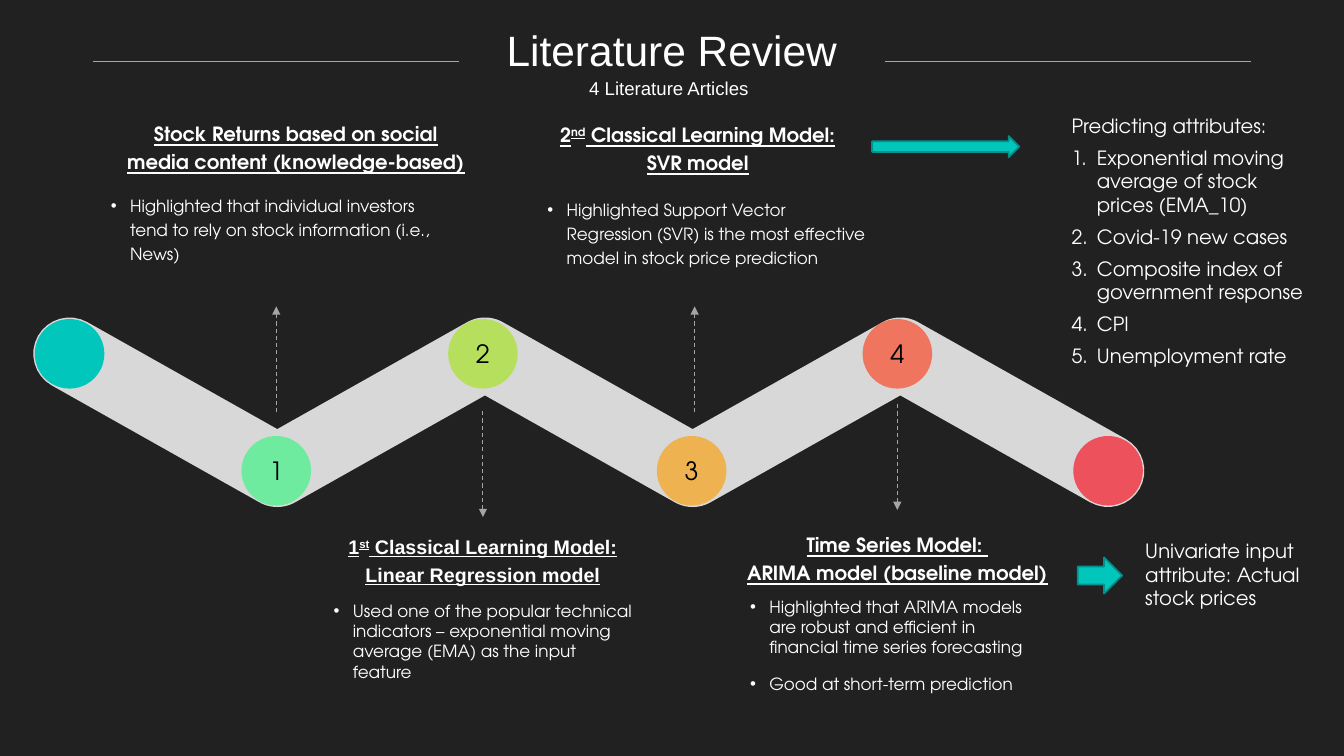
"""Builds the Literature Review slide: a zigzag path with four reviewed articles."""
import math

import lxml.etree
import pptx
import pptx.dml.color
import pptx.enum.dml
import pptx.enum.shapes
import pptx.enum.text
import pptx.oxml.ns
import pptx.util

SANS, GEOMETRIC = "Arial", "TeX Gyre Adventor"
WHITE, BLACK, GREY = "FFFFFF", "000000", "A5A5A5"
BACKGROUND, PATH_GREY, TEAL, DARK_TEAL = "212121", "D8D8D8", "00C6BB", "00928A"
WIDTH, HEIGHT = 13.33, 7.5

TITLE = "Literature Review"
SUBTITLE = "4 Literature Articles"

MILESTONES = [
    ("", 0.69, TEAL), ("1", 2.74, "6FEBA0"), ("2", 4.79, "B6DF5E"),
    ("3", 6.86, "EFB251"), ("4", 8.9, "EF755F"), ("", 10.99, "ED515C"),
]

# Every second piece of a heading line is superscript.
ARTICLES = [
    {"heading": [["Stock Returns based on social media content (knowledge-based)"]],
     "heading_box": (1.12, 1.11, 3.63, 0.67), "font": GEOMETRIC,
     "points": ["Highlighted that individual investors tend to rely on stock information (i.e., News)"],
     "points_box": (1, 1.85, 3.63, 0.83), "line_spacing": 1.2, "gap": 0},
    {"heading": [["1", "st", " Classical Learning Model: Linear Regression model"]],
     "heading_box": (3.06, 5.21, 3.46, 0.67), "font": SANS,
     "points": ["Used one of the popular technical indicators – exponential moving average (EMA) "
                "as the input feature"],
     "points_box": (3.21, 5.91, 3.16, 0.91), "line_spacing": 1, "gap": 0},
    {"heading": [["2", "nd", " Classical Learning Model: SVR model"]],
     "heading_box": (5.33, 1.12, 3.18, 0.67), "font": GEOMETRIC,
     "points": ["Highlighted Support Vector Regression (SVR) is the most effective model "
                "in stock price prediction"],
     "points_box": (5.33, 1.89, 3.46, 0.83), "line_spacing": 1.2, "gap": 0},
    {"heading": [["Time Series Model: "], ["ARIMA model (baseline model)"]],
     "heading_box": (7.04, 5.19, 3.72, 0.67), "font": GEOMETRIC,
     "points": ["Highlighted that ARIMA models are robust and efficient in financial "
                "time series forecasting", "Good at short-term prediction"],
     "points_box": (7.34, 5.87, 2.95, 1.25), "line_spacing": 1, "gap": 6},
]
ARTICLE_POINTERS = [(2.74, 4.09, 3.04), (4.79, 4.08, 5.13), (6.89, 4.09, 3.04), (8.9, 4.01, 5.06)]

ATTRIBUTES_LEAD = "Predicting attributes:"
ATTRIBUTES = ["Exponential moving average of stock prices (EMA_10)", "Covid-19 new cases",
              "Composite index of government response", "CPI", "Unemployment rate"]
UNIVARIATE = "Univariate input attribute: Actual stock prices"
BLOCK_ARROWS = [(8.65, 1.35, 1.46, 0.21), (10.69, 5.53, 0.44, 0.36)]

PATH_LEFT, PATH_STEP, PATH_RADIUS = 0.69, 2.06, 0.36
PEAK_Y, VALLEY_Y, CIRCLE = 3.51, 4.67, 0.69
RULE_Y, RULE_LENGTH, RULE_MARGIN = 0.61, 3.63, 0.92

ALIGN = pptx.enum.text.PP_ALIGN
ANCHOR = pptx.enum.text.MSO_ANCHOR
SHAPE = pptx.enum.shapes.MSO_SHAPE
inches = pptx.util.Inches


def color(value):
    return pptx.dml.color.RGBColor.from_string(value)


def add_xml(parent, tag, **attributes):
    lxml.etree.SubElement(parent, pptx.oxml.ns.qn(tag), attributes)


def paint(shape, fill, outline=None):
    shape.shadow.inherit = False
    shape.fill.solid()
    shape.fill.fore_color.rgb = color(fill)
    if outline:
        shape.line.color.rgb = color(outline)
        shape.line.width = pptx.util.Pt(1.25)
    else:
        shape.line.fill.background()


def place(shape, box):
    shape.left, shape.top, shape.width, shape.height = map(inches, box)


def frame_of(shape, anchor=ANCHOR.TOP, margins=(0.1, 0.05)):
    frame = shape.text_frame
    frame.auto_size = pptx.enum.text.MSO_AUTO_SIZE.NONE
    frame.word_wrap = True
    frame.vertical_anchor = anchor
    frame.margin_left = frame.margin_right = inches(margins[0])
    frame.margin_top = frame.margin_bottom = inches(margins[1])
    return frame


def write(frame, lines, size, font=GEOMETRIC, ink=WHITE, align=ALIGN.LEFT, bold=False,
          spacing=1, before=0, after=0):
    for number, pieces in enumerate(lines):
        paragraph = frame.add_paragraph() if number else frame.paragraphs[0]
        paragraph.alignment = align
        paragraph.line_spacing = spacing
        paragraph.space_before = pptx.util.Pt(before)
        paragraph.space_after = pptx.util.Pt(after)
        paragraph.font.name, paragraph.font.size = font, pptx.util.Pt(size)
        paragraph.font.bold = paragraph.font.underline = bold
        paragraph.font.color.rgb = color(ink)
        for position, piece in enumerate(pieces):
            run = paragraph.add_run()
            run.text = piece
            if position % 2:
                run._r.get_or_add_rPr().set("baseline", "30000")


def mark(paragraph, indent, tag, **attributes):
    properties = paragraph._p.get_or_add_pPr()
    properties.set("marL", str(inches(indent)))
    properties.set("indent", str(-inches(indent)))
    following = properties.find(pptx.oxml.ns.qn("a:defRPr"))
    if tag == "a:buChar":
        add_xml(properties, "a:buFont", typeface=SANS)
    add_xml(properties, tag, **attributes)
    if following is not None:
        properties.append(following)


def add_line(slide, start, end, arrow=False):
    line = slide.shapes.add_connector(pptx.enum.shapes.MSO_CONNECTOR.STRAIGHT,
                                      *map(inches, start + end))
    line.line.color.rgb = color(GREY)
    line.line.width = pptx.util.Pt(0.75)
    if arrow:
        line.line.dash_style = pptx.enum.dml.MSO_LINE.DASH
        add_xml(line.line._get_or_add_ln(), "a:tailEnd", type="triangle")
    add_xml(line._element.spPr, "a:effectLst")


def add_text(slide, box, lines, size, anchor=ANCHOR.TOP, margins=(0.1, 0.05), **style):
    frame = frame_of(slide.shapes.add_textbox(*map(inches, box)), anchor, margins)
    write(frame, lines, size, **style)
    return frame


def zigzag_outline():
    nodes = [(PATH_LEFT + PATH_STEP * i, VALLEY_Y if i % 2 else PEAK_Y)
             for i in range(len(MILESTONES))]
    slope = math.degrees(math.atan2(VALLEY_Y - PEAK_Y, PATH_STEP))
    miter = PATH_RADIUS / math.cos(math.radians(slope))

    def arc(node, first, last):
        angles = [math.radians(first + (last - first) * i / 16) for i in range(17)]
        return [(node[0] + PATH_RADIUS * math.cos(a), node[1] + PATH_RADIUS * math.sin(a))
                for a in angles]

    def side(order, outer_parity, up):
        points = []
        for i in order:
            if i % 2 == outer_parity:
                points += arc(nodes[i], up - slope, up + slope)
            else:
                points.append((nodes[i][0], nodes[i][1] + miter * math.sin(math.radians(up))))
        return points

    inner = range(1, len(nodes) - 1)
    return (arc(nodes[0], 90 + slope, 270 + slope) + side(inner, 0, -90)
            + arc(nodes[-1], -90 + slope, 90 + slope) + side(reversed(inner), 1, 90))


def main():
    deck = pptx.Presentation()
    deck.slide_width, deck.slide_height = inches(WIDTH), inches(HEIGHT)
    slide = deck.slides.add_slide(deck.slide_layouts.get_by_name("Comparison"))
    slide.background.fill.solid()
    slide.background.fill.fore_color.rgb = color(BACKGROUND)

    title, *bodies = slide.placeholders
    place(title, (4.62, 0.24, 4.09, 0.51))
    write(frame_of(title, ANCHOR.MIDDLE, (0, 0)), [[TITLE]], 30.3, SANS, align=ALIGN.CENTER)
    add_text(slide, (5.18, 0.76, 2.91, 0.22), [[SUBTITLE]], 13.3, ANCHOR.MIDDLE, (0, 0),
             font=SANS, align=ALIGN.CENTER)
    for left in (RULE_MARGIN, WIDTH - RULE_MARGIN - RULE_LENGTH):
        add_line(slide, (left, RULE_Y), (left + RULE_LENGTH, RULE_Y))

    outline = [(inches(x), inches(y)) for x, y in zigzag_outline()]
    builder = slide.shapes.build_freeform(*outline[0])
    builder.add_line_segments(outline[1:], close=True)
    paint(builder.convert_to_shape(), PATH_GREY)
    for i, (number, x, fill) in enumerate(MILESTONES):
        y = VALLEY_Y if i % 2 else PEAK_Y
        box = (x - CIRCLE / 2, y - CIRCLE / 2, CIRCLE, CIRCLE)
        circle = slide.shapes.add_shape(SHAPE.OVAL, *map(inches, box))
        paint(circle, fill)
        if number:
            write(frame_of(circle, ANCHOR.MIDDLE, (0, 0)), [[number]], 18, ink=BLACK,
                  align=ALIGN.CENTER)

    for article, body, (x, start, end) in zip(ARTICLES, bodies, ARTICLE_POINTERS):
        add_line(slide, (x, start), (x, end), arrow=True)
        add_text(slide, article["heading_box"], article["heading"], 14, font=article["font"],
                 align=ALIGN.CENTER, bold=True, spacing=1.2)
        place(body, article["points_box"])
        frame = frame_of(body)
        write(frame, [[point] for point in article["points"]], 12,
              spacing=article["line_spacing"], before=article["gap"], after=article["gap"])
        for paragraph in frame.paragraphs:
            mark(paragraph, 0.19, "a:buChar", char="•")

    frame = add_text(slide, (10.53, 1.08, 2.59, 2.73),
                     [[line] for line in [ATTRIBUTES_LEAD] + ATTRIBUTES], 14, after=6)
    for paragraph in frame.paragraphs[1:]:
        mark(paragraph, 0.25, "a:buAutoNum", type="arabicPeriod")
    add_text(slide, (11.26, 5.3, 2.16, 0.81), [[UNIVARIATE]], 14)
    for box in BLOCK_ARROWS:
        paint(slide.shapes.add_shape(SHAPE.RIGHT_ARROW, *map(inches, box)), TEAL, DARK_TEAL)
    deck.save("out.pptx")


if __name__ == "__main__":
    main()
